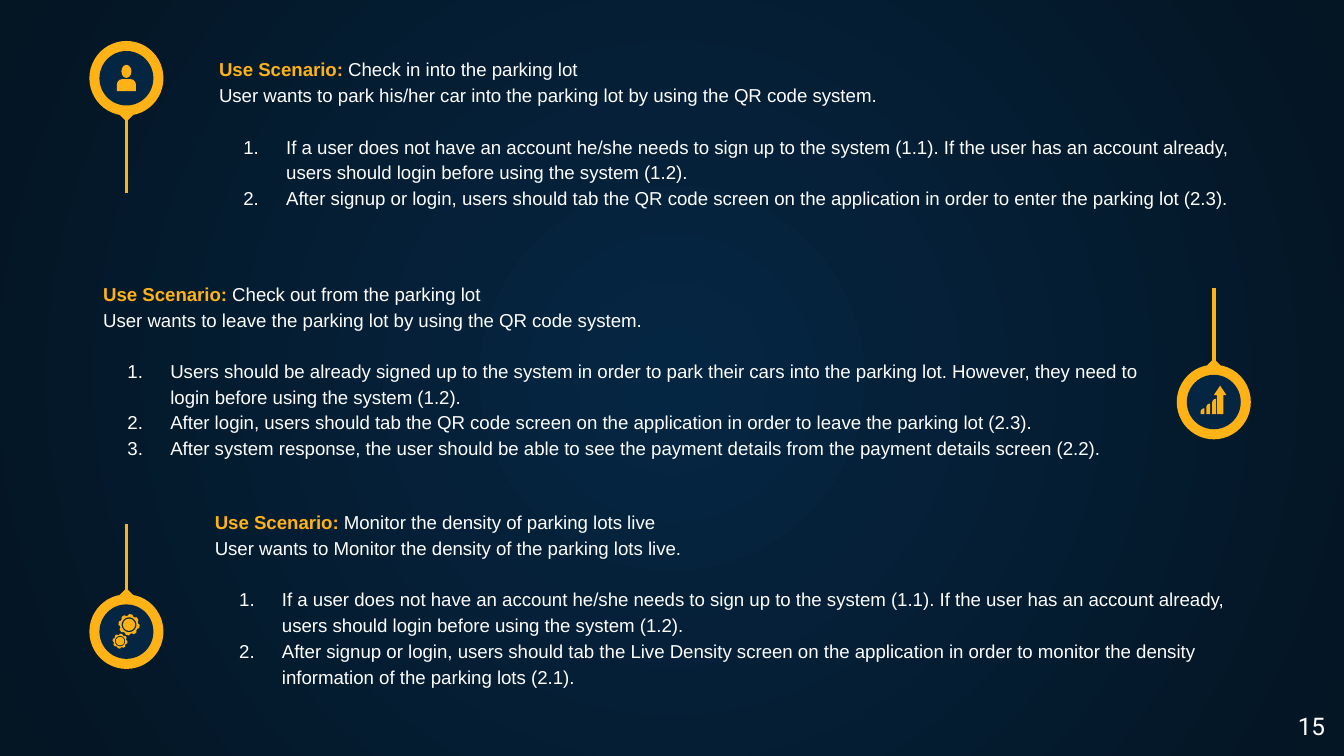
"""Build the parking use scenario slide with three pins and numbered steps."""
import math

import pptx
import pptx.dml.color
import pptx.enum.shapes
import pptx.enum.text
import pptx.oxml
import pptx.oxml.ns
import pptx.util

Cm = pptx.util.Cm
Pt = pptx.util.Pt
Kind = pptx.enum.shapes.MSO_SHAPE

COLORS = {"gold": "FFB215", "navy": "052643", "dark": "041523", "white": "FFFFFF"}

SIGNUP = (
    "If a user does not have an account he/she needs to sign up to the system (1.1). "
    "If the user has an account already, users should login before using the system (1.2)."
)
SCENES = [
    {
        "at": (3.89, 0.79),
        "title": " Check in into the parking lot",
        "goal": "User wants to park his/her car into the parking lot by using the QR code system.",
        "steps": [
            SIGNUP,
            "After signup or login, users should tab the QR code screen on the application "
            "in order to enter the parking lot (2.3).",
        ],
    },
    {
        "at": (1.7, 5.03),
        "title": " Check out from the parking lot",
        "goal": "User wants to leave the parking lot by using the QR code system.",
        "steps": [
            "Users should be already signed up to the system in order to park their cars "
            "into the parking lot. However, they need to login before using the system (1.2).",
            "After login, users should tab the QR code screen on the application "
            "in order to leave the parking lot (2.3).",
            "After system response, the user should be able to see the payment details "
            "from the payment details screen (2.2).",
        ],
    },
    {
        "at": (3.81, 9.35),
        "title": " Monitor the density of parking lots live",
        "goal": "User wants to Monitor the density of the parking lots live.",
        "steps": [
            SIGNUP,
            "After signup or login, users should tab the Live Density screen on the application "
            "in order to monitor the density information of the parking lots (2.1).",
        ],
    },
]
PINS = [(2.39, 1.48, 3.65), (22.94, 7.6, 5.44), (2.39, 11.94, 9.91)]
GEARS = [(2.44, 11.81, 0.2), (2.27, 12.12, 0.14)]
BARS = [(22.69, 0.11), (22.8, 0.2), (22.91, 0.29)]
FLOOR = 7.83

deck = pptx.Presentation()
deck.slide_width, deck.slide_height = Cm(25.4), Cm(14.29)
slide = deck.slides.add_slide(deck.slide_layouts[6])


def tint(name):
    return pptx.dml.color.RGBColor.from_string(COLORS[name])


def paint(shape, color):
    shape.shadow.inherit = False
    shape.fill.solid()
    shape.fill.fore_color.rgb = tint(color)
    shape.line.fill.background()
    return shape


def add(kind, mid_x, mid_y, width, height, color="gold"):
    shape = slide.shapes.add_shape(
        kind, Cm(mid_x - width / 2), Cm(mid_y - height / 2), Cm(width), Cm(height)
    )
    return paint(shape, color)


def trace(*loops):
    rings = [[(Cm(x), Cm(y)) for x, y in loop] for loop in loops]
    form = slide.shapes.build_freeform(*rings[0][0], scale=1.0)
    form.add_line_segments(rings[0][1:], close=True)
    for ring in rings[1:]:
        form.move_to(*ring[0])
        form.add_line_segments(ring[1:], close=True)
    return paint(form.convert_to_shape(), "gold")


def ring(x, y, radii):
    turn = 2 * math.pi / len(radii)
    return [(x + r * math.cos(i * turn), y + r * math.sin(i * turn)) for i, r in enumerate(radii)]


def add_pin(x, y, end):
    way = 1 if end > y else -1
    add(Kind.OVAL, x, y, 1.4, 1.41)
    base, tip = y + way * 0.69, y + way * 0.82
    trace([(x - 0.13, base), (x, tip), (x + 0.13, base)])
    stem = slide.shapes.add_connector(
        pptx.enum.shapes.MSO_CONNECTOR.STRAIGHT, Cm(x), Cm(base), Cm(x), Cm(end)
    )
    stem.line.color.rgb = tint("gold")
    stem.line.width = Pt(1.95)
    props = stem.element.spPr
    props.append(props.makeelement(pptx.oxml.ns.qn("a:effectLst"), {}))
    add(Kind.OVAL, x, y, 1.02, 1.03, "navy")


def add_gear(x, y, size):
    teeth = [size, size, size, 0.86 * size, 0.86 * size] * 8
    trace(ring(x, y, teeth), ring(x, y, [0.7 * size] * 32))
    add(Kind.OVAL, x, y, 1.16 * size, 1.16 * size)


def add_bar(left, height):
    top, wide = FLOOR - height, 0.07
    bend = [
        (left + wide * (1 - math.cos(a)), top + wide * (1 - math.sin(a)))
        for a in [i * math.pi / 12 for i in range(7)]
    ]
    trace([(left, FLOOR), *bend, (left + wide, FLOOR)])


def add_run(para, text, color, size=10, font="Arial", bold=False):
    run = para.add_run()
    run.text = text
    run.font.size, run.font.name, run.font.bold = Pt(size), font, bold
    run.font.color.rgb = tint(color)


def add_box(left, top, width, height):
    frame = slide.shapes.add_textbox(Cm(left), Cm(top), Cm(width), Cm(height)).text_frame
    frame.word_wrap = True
    frame.margin_left = frame.margin_right = Cm(0.25)
    frame.margin_top = frame.margin_bottom = Cm(0.25)
    return frame


def add_scene(scene):
    frame = add_box(*scene["at"], 20.22, 3.66)
    head, goal = frame.paragraphs[0], frame.add_paragraph()
    add_run(head, "Use Scenario:", "gold", bold=True)
    add_run(head, scene["title"], "white")
    add_run(goal, scene["goal"], "white")
    for i, text in enumerate(scene["steps"]):
        step = frame.add_paragraph()
        add_run(step, text, "white")
        step.space_before = Pt(0 if i else 13.7)
        props = step._p.get_or_add_pPr()
        props.set("marL", str(Cm(1.27)))
        props.set("indent", str(Cm(-0.81)))
        mark = props.makeelement(pptx.oxml.ns.qn("a:buAutoNum"), {"type": "arabicPeriod"})
        props.append(mark)
    for para in frame.paragraphs:
        para.line_spacing = 1.15


back = slide.background.fill
back.gradient()
for stop, name in zip(back.gradient_stops, ("navy", "dark")):
    stop.color.rgb = tint(name)
line = slide.element.find(".//" + pptx.oxml.ns.qn("a:lin"))
glow = pptx.oxml.parse_xml(
    f'<a:path {pptx.oxml.ns.nsdecls("a")} path="circle">'
    '<a:fillToRect l="50000" t="50000" r="50000" b="50000"/></a:path>'
)
line.getparent().replace(line, glow)

for pin in PINS:
    add_pin(*pin)
for gear in GEARS:
    add_gear(*gear)
for bar in BARS:
    add_bar(*bar)
arrow = add(Kind.UP_ARROW, 23.06, 7.56, 0.24, 0.54)
arrow.adjustments[0], arrow.adjustments[1] = 0.5, 0.75
add(Kind.OVAL, 2.39, 1.35, 0.19, 0.25)
add(Kind.ROUND_2_SAME_RECTANGLE, 2.39, 1.61, 0.36, 0.23).adjustments[0] = 0.45
for scene in SCENES:
    add_scene(scene)

page = add_box(23.77, 13.18, 1.52, 1.09)
page.vertical_anchor = pptx.enum.text.MSO_ANCHOR.MIDDLE
page.paragraphs[0].alignment = pptx.enum.text.PP_ALIGN.RIGHT
add_run(page.paragraphs[0], "15", "white", 13, "Roboto")

deck.save("out.pptx")
